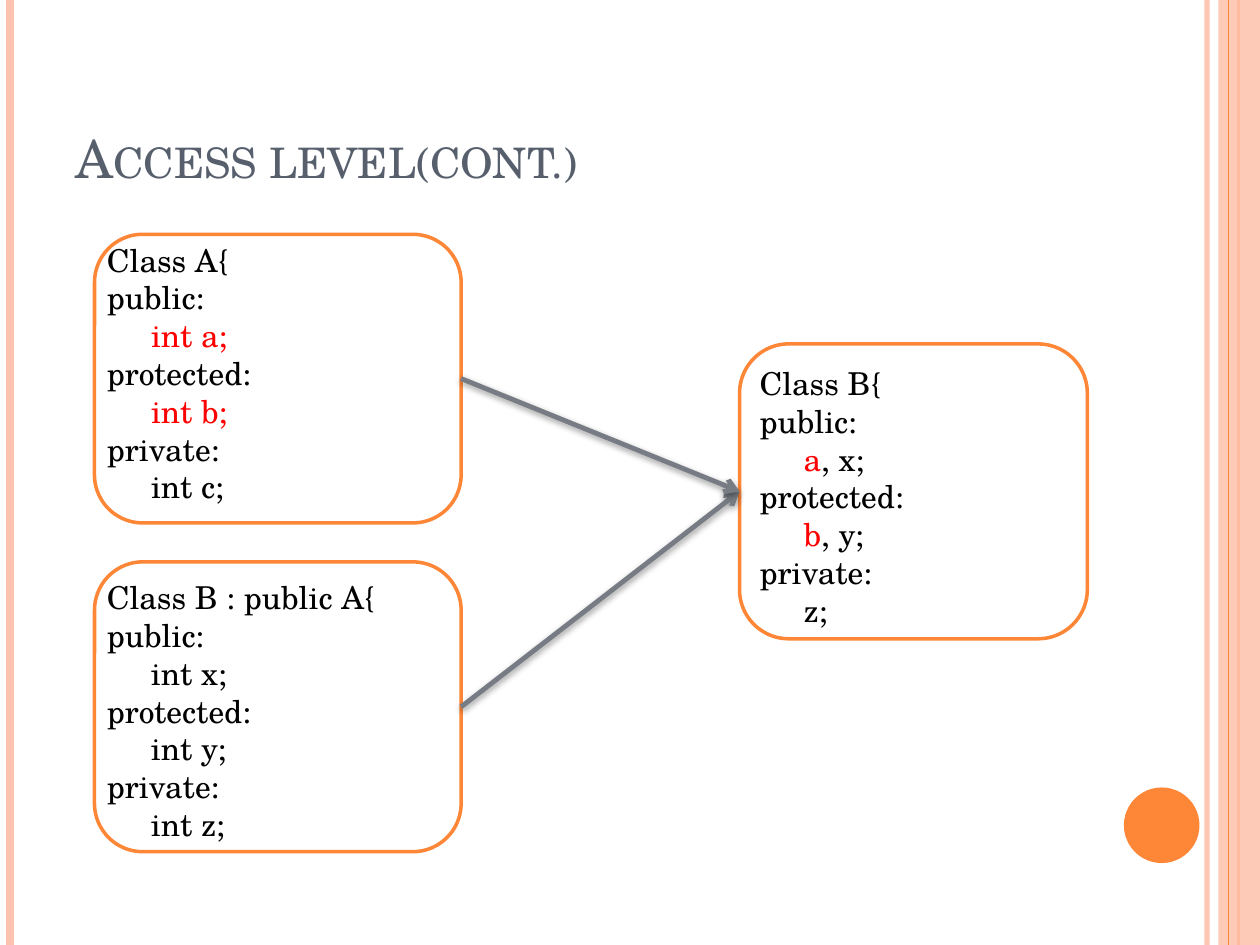
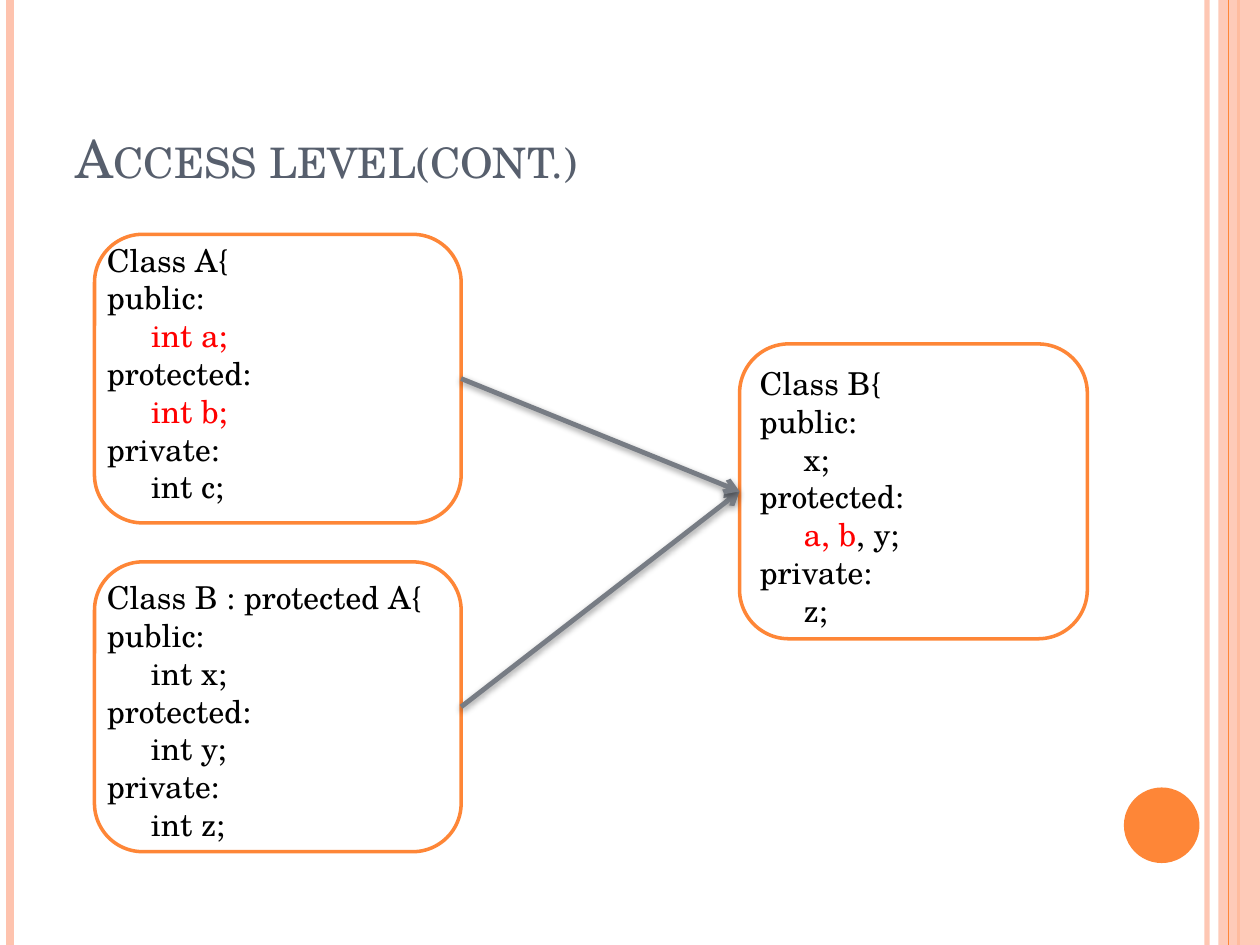
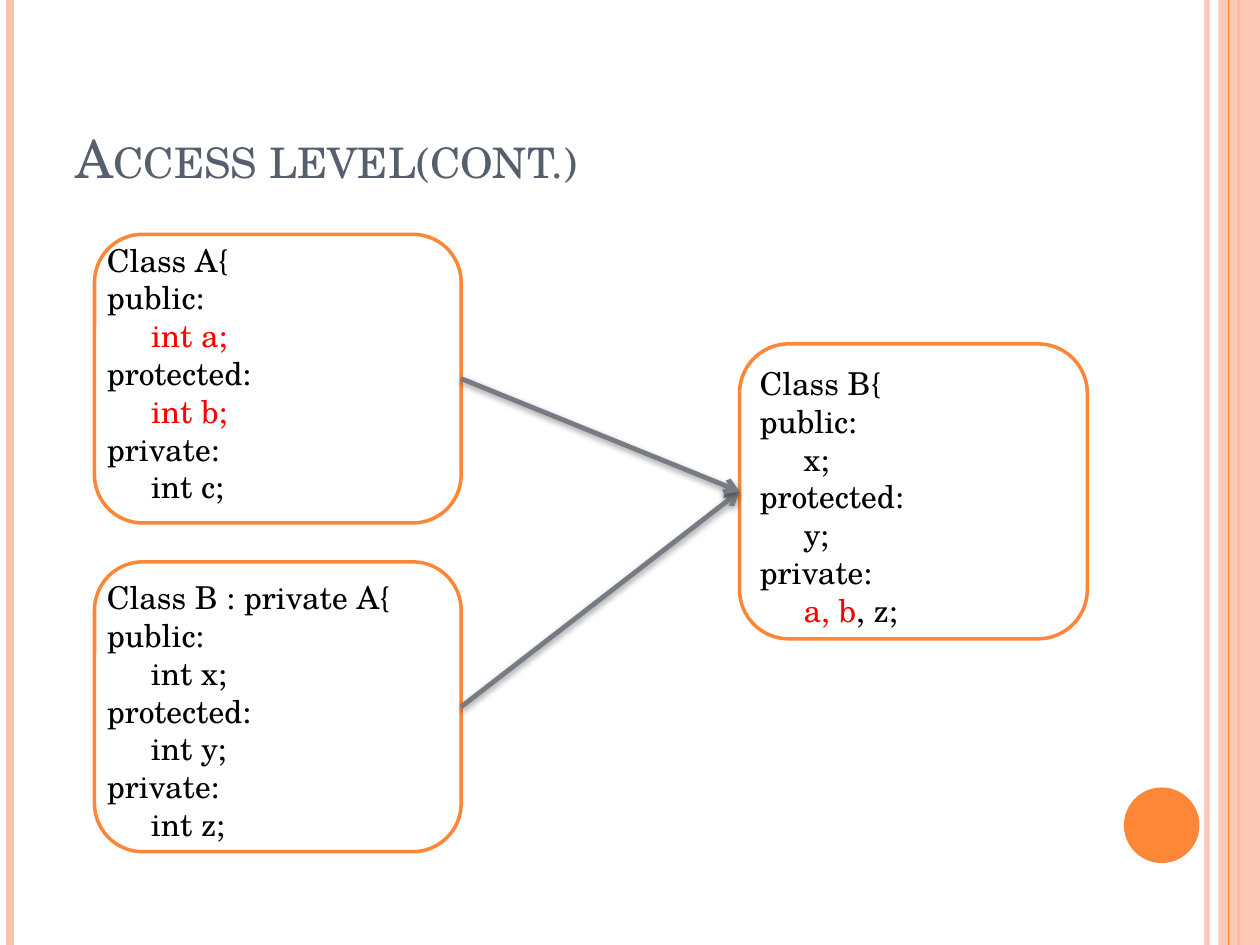
from lxml import etree
from pptx import Presentation
from pptx import util as u
from pptx.dml.color import RGBColor
from pptx.enum import shapes, text
from pptx.oxml import ns

ORANGE = RGBColor(0xFE, 0x86, 0x37)
PEACH = RGBColor(0xFE, 0xC3, 0xAE)
SLATE = RGBColor(0x57, 0x5F, 0x6D)
GRAY = RGBColor(0x77, 0x7C, 0x84)
WHITE = RGBColor(0xFF, 0xFF, 0xFF)
BLACK = RGBColor(0, 0, 0)
RED = RGBColor(0xFF, 0, 0)

FONT = "TeX Gyre Schola"
WIDTH, HEIGHT = 10, 7.5
TITLE = "Access level(cont.)"
TITLE_BOX = (0.5, 0.3, 8.17, 1.25)
BASE_BOX = (0.75, 1.86, 2.91, 2.29)
DERIVED_BOX = (0.75, 4.46, 2.91, 2.3)
RESULT_BOX = (5.87, 2.73, 2.76, 2.34)
MEMBER_INDENT = 0.35
TEXT_HEIGHT = 2.22
LEVELS = ("public:", "protected:", "private:")

BASE_MEMBERS = ("*int a;*", "*int b;*", "int c;")
DERIVED_MEMBERS = ("int x;", "int y;", "int z;")
INHERITANCE = (
    ("public", ("*a*, x;", "*b*, y;", "z;")),
    ("protected", ("x;", "*a, b*, y;", "z;")),
    ("private", ("x;", "y;", "*a, b*, z;")),
)


def inches(*values):
    """Convert numbers to a list of lengths."""
    return [u.Inches(v) for v in values]


def apply(obj, **values):
    """Set each named attribute on an object."""
    for name, value in values.items():
        setattr(obj, name, value)


def add_child(parent, tag, **attrs):
    """Append a DrawingML element with the given attributes."""
    child = etree.SubElement(parent, ns.qn(tag))
    for name, value in attrs.items():
        child.set(name, str(value))
    return child


def set_alpha(fill, percent):
    """Make a solid fill partly transparent."""
    color = fill._xPr.find(".//" + ns.qn("a:srgbClr"))
    add_child(color, "a:alpha", val=percent * 1000)


def add_line(slide, start, end, color, width):
    """Draw a straight line and return it with its empty effect list."""
    line = slide.shapes.add_connector(
        shapes.MSO_CONNECTOR.STRAIGHT, *inches(*start, *end))
    line.line.color.rgb = color
    line.line.width = u.Pt(width)
    return line, add_child(line._element.spPr, "a:effectLst")


def add_filled(slide, kind, box, fill):
    """Draw a flat preset shape without an outline."""
    sp = slide.shapes.add_shape(kind, *inches(*box))
    sp.shadow.inherit = False
    sp.fill.solid()
    sp.fill.fore_color.rgb = fill
    sp.line.fill.background()
    return sp


def add_stripes(slide):
    """Draw the edge stripes and the disc, and return them in order."""
    def stripe(x, color, width):
        return add_line(slide, (x, 0), (x, HEIGHT), color, width)[0]

    inner = stripe(9.58, PEACH, 3)
    set_alpha(inner.line.fill, 93)
    left = stripe(0.08, PEACH, 4.5)
    right = stripe(9.83, ORANGE, 1.5)
    band = add_filled(slide, shapes.MSO_SHAPE.RECTANGLE,
                      (9.67, 0, 0.33, HEIGHT), PEACH)
    set_alpha(band.fill, 87)
    thin = stripe(9.75, ORANGE, 0.75)
    disc = add_filled(slide, shapes.MSO_SHAPE.OVAL,
                      (8.92, 6.25, 0.6, 0.6), ORANGE)
    return inner, left, right, band, thin, disc


def move_to_layout(parts, layout):
    """Move shapes from a slide to its layout."""
    for number, sp in enumerate(parts, 100):
        sp._element.xpath(".//p:cNvPr")[0].set("id", str(number))
        layout.shapes._spTree.append(sp._element)


def add_title(slide):
    """Place and format the slide title."""
    sp = slide.shapes.title
    apply(sp, **dict(zip(("left", "top", "width", "height"),
                         inches(*TITLE_BOX))))
    tf = sp.text_frame
    apply(tf, text=TITLE, word_wrap=True, auto_size=text.MSO_AUTO_SIZE.NONE,
          vertical_anchor=text.MSO_ANCHOR.BOTTOM)
    p = tf.paragraphs[0]
    p.alignment = text.PP_ALIGN.LEFT
    font = p.runs[0].font
    apply(font, name=FONT, size=u.Pt(30))
    font.color.rgb = SLATE
    font._element.set("cap", "small")


def add_frame(slide, box):
    """Draw a rounded class frame."""
    sp = add_filled(slide, shapes.MSO_SHAPE.ROUNDED_RECTANGLE, box, WHITE)
    sp.line.color.rgb = ORANGE
    sp.line.width = u.Pt(2)
    return sp


def add_code(slide, box, heading, members, dx=0, dy=0, width=None):
    """Write a class listing inside a frame, with starred parts in red."""
    x, y, w, _ = box
    sp = slide.shapes.add_textbox(
        *inches(x + dx, y + dy, width or w, TEXT_HEIGHT))
    tf = sp.text_frame
    apply(tf, word_wrap=True, auto_size=text.MSO_AUTO_SIZE.SHAPE_TO_FIT_TEXT)
    lines = [(heading, 0)]
    for level, member in zip(LEVELS, members):
        lines += [(level, 0), (member, MEMBER_INDENT)]
    for i, (line, indent) in enumerate(lines):
        p = tf.add_paragraph() if i else tf.paragraphs[0]
        p._p.get_or_add_pPr().set("marL", str(u.Inches(indent)))
        for j, part in enumerate(line.split("*")):
            if part:
                r = p.add_run()
                r.text = part
                apply(r.font, name=FONT, size=u.Pt(18))
                r.font.color.rgb = RED if j % 2 else BLACK


def add_arrow(slide, source, target):
    """Connect the right side of one frame to the left side of another."""
    arrow, effects = add_line(slide, (0, 0), (1, 1), GRAY, 2.75)
    arrow.begin_connect(source, 3)
    arrow.end_connect(target, 1)
    add_child(arrow.line._get_or_add_ln(), "a:tailEnd", type="arrow")
    shadow = add_child(effects, "a:outerShdw", blurRad=u.Pt(4),
                       dist=u.Pt(1.6), dir=90 * 60000, rotWithShape=0)
    color = add_child(shadow, "a:srgbClr", val=BLACK)
    add_child(color, "a:alpha", val=42000)


def add_inheritance(slide, access, result_members):
    """Show how a base and a derived class combine."""
    result, derived, base = [
        add_frame(slide, box) for box in (RESULT_BOX, DERIVED_BOX, BASE_BOX)]
    add_code(slide, BASE_BOX, "Class A{", BASE_MEMBERS)
    add_code(slide, DERIVED_BOX, f"Class B : {access} A{{", DERIVED_MEMBERS,
             dy=0.08, width=2.76)
    add_code(slide, RESULT_BOX, "Class B{", result_members,
             dx=0.06, dy=0.11, width=2.85)
    for source in (derived, base):
        add_arrow(slide, source, result)


def main():
    """Build and save the presentation."""
    prs = Presentation()
    apply(prs, slide_width=u.Inches(WIDTH), slide_height=u.Inches(HEIGHT))
    layout = prs.slide_layouts.get_by_name("Title Only")
    for i, (access, members) in enumerate(INHERITANCE):
        slide = prs.slides.add_slide(layout)
        if i == 0:
            move_to_layout(add_stripes(slide), layout)
        add_title(slide)
        add_inheritance(slide, access, members)
    prs.save("out.pptx")


if __name__ == "__main__":
    main()
